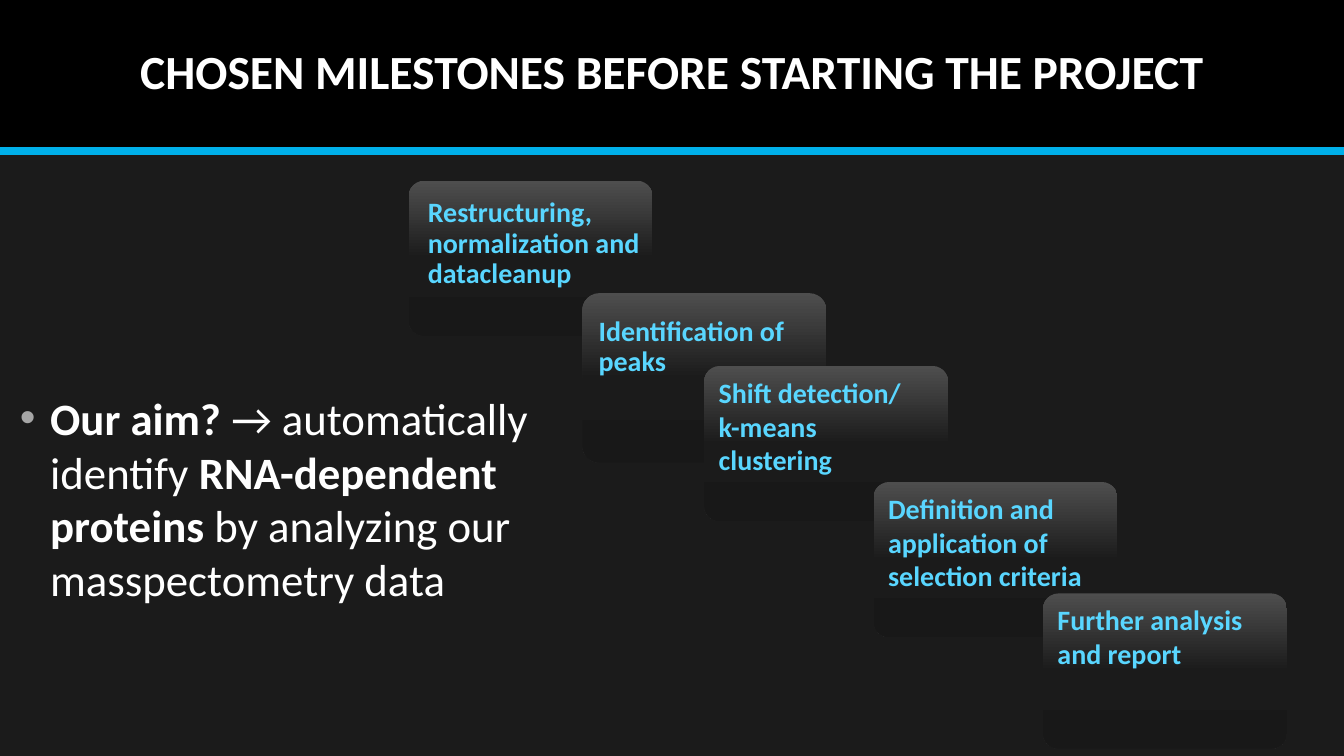
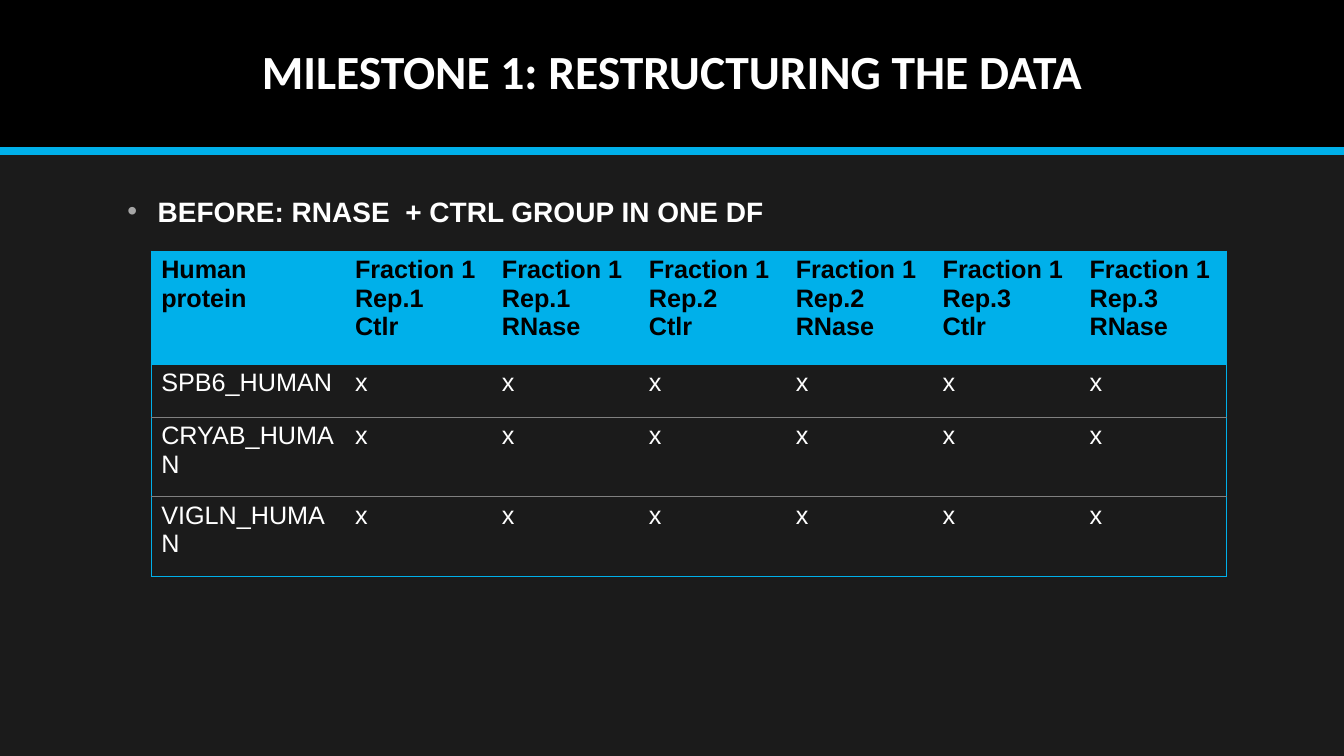
import copy

from lxml import etree
from pptx import Presentation
from pptx.dml.color import RGBColor
from pptx.enum import shapes, text
from pptx.oxml.ns import qn
from pptx.util import Pt

# Shared look
COLORS = {
    "background": "1B1B1B",
    "band": "000000",
    "accent": "00B0EA",
    "white": "FFFFFF",
    "bullet": "A6A6A6",
    "step_text": "59D6FF",
    "row_line": "808080",
}
STEP_GRADIENT = [(0, "4E4E4E"), (0.5, "1B1B1B"), (1, "181818")]
SLIDE_WIDTH, SLIDE_HEIGHT = 960, 540
BAND_HEIGHT = 108
TITLE_BOX = (84, 10, 792, 86.4)
NO_STYLE_NO_GRID = "{2D5ABB26-0587-4C30-8999-92F81FD0307C}"

# Content: milestones
MILESTONES_TITLE = "CHOSEN MILESTONES BEFORE STARTING THE PROJECT"
AIM_BOX = (7.2, 275.4, 407, 180)
AIM = [
    ("Our aim? ", True),
    ("→ automatically identify ", False),
    ("RNA-dependent proteins", True),
    (" by analyzing our masspectometry data", False),
]
STEP_WIDTH = 174.2
PLAIN_MARGINS = (7.2, 3.6, 7.2, 3.6)
# text, left, top, height, line spacing, margins (left, top, right, bottom)
STEPS = [
    ("Restructuring, normalization and datacleanup", 291.9, 129.1, 110.9, 0.9, (10.4, 9.7, 6, 3.6)),
    ("Identification of peaks", 416, 209.4, 121, 0.9, (8, 13.8, 8, 3.6)),
    ("Shift detection/\nk-means clustering", 503, 261.4, 110.9, 1, PLAIN_MARGINS),
    ("Definition and application of selection criteria", 624, 344.3, 110.9, 1, PLAIN_MARGINS),
    ("Further analysis and report", 745, 423.9, 110.9, 1, PLAIN_MARGINS),
]

# Content: restructuring
DATA_TITLE = "MILESTONE 1: RESTRUCTURING THE DATA"
BEFORE_BOX = (84, 135.4, 525.6, 36)
BEFORE = [("BEFORE: RNASE  + CTRL GROUP IN ONE DF", True)]
REPLICATES = (1, 2, 3)
GROUPS = ("Ctlr", "RNase")
PROTEINS = ["SPB6_HUMAN", "CRYAB_HUMAN", "VIGLN_HUMAN"]
TABLE_LEFT, TABLE_TOP = 108, 179.3
NAME_WIDTH, VALUE_WIDTH = 138.4, 104.95
ROW_HEIGHTS = [80.6, 38, 57, 57]


def rgb(name):
    return RGBColor.from_string(COLORS[name])


def points(lengths):
    return [Pt(length) for length in lengths]


def set_font(font, face, size, color, bold=None):
    font.name, font.size, font.bold = face, Pt(size), bold
    font.color.rgb = rgb(color)


def add_text_box(page, place):
    frame = page.shapes.add_textbox(*points(place)).text_frame
    frame.word_wrap = True
    return frame


def add_page(deck, title):
    """Blank page with the title band, accent line and title."""
    page = deck.slides.add_slide(deck.slide_layouts[6])
    band = page.shapes.add_shape(
        shapes.MSO_SHAPE.RECTANGLE, *points((0, 0, SLIDE_WIDTH, BAND_HEIGHT)))
    band.shadow.inherit = False
    band.fill.solid()
    band.fill.fore_color.rgb = rgb("band")
    band.line.fill.background()

    rule = page.shapes.add_connector(
        shapes.MSO_CONNECTOR.STRAIGHT,
        *points((0, BAND_HEIGHT, SLIDE_WIDTH, BAND_HEIGHT)))
    rule.line.color.rgb = rgb("accent")
    rule.line.width = Pt(6)
    etree.SubElement(rule.element.spPr, qn("a:effectLst"))

    frame = add_text_box(page, TITLE_BOX)
    frame.vertical_anchor = text.MSO_ANCHOR.MIDDLE
    para = frame.paragraphs[0]
    para.text = title
    para.alignment = text.PP_ALIGN.CENTER
    para.line_spacing = 0.9
    set_font(para.font, "Calibri", 34, "white", True)
    return page


def add_bullet(page, place, spans, face, size):
    para = add_text_box(page, place).paragraphs[0]
    set_font(para.font, face, size, "white")
    for words, bold in spans:
        span = para.add_run()
        span.text = words
        span.font.bold = bold
    # Hanging bullet
    props = para._p.get_or_add_pPr()
    props.set("marL", str(Pt(21.6)))
    props.set("indent", str(-Pt(21.6)))
    bullet_color = etree.Element(qn("a:buClr"))
    etree.SubElement(bullet_color, qn("a:srgbClr"), val=COLORS["bullet"])
    bullet_font = etree.Element(qn("a:buFont"), typeface="Arial")
    bullet_char = etree.Element(qn("a:buChar"), char="•")
    for index, part in enumerate((bullet_color, bullet_font, bullet_char)):
        props.insert(index, part)


def add_step(page, words, left, top, height, spacing, margins):
    box = page.shapes.add_shape(
        shapes.MSO_SHAPE.ROUNDED_RECTANGLE, *points((left, top, STEP_WIDTH, height)))
    box.adjustments[0] = 0.1
    box.shadow.inherit = False
    box.line.fill.background()
    # Three-stop gradient, running downwards
    box.fill.gradient()
    box.fill.gradient_angle = 270
    stop_list = box.element.find(".//" + qn("a:gsLst"))
    stop_list.insert(1, copy.deepcopy(stop_list[0]))
    for stop, (position, color) in zip(box.fill.gradient_stops, STEP_GRADIENT):
        stop.position = position
        stop.color.rgb = RGBColor.from_string(color)

    frame = box.text_frame
    frame.word_wrap = True
    frame.vertical_anchor = text.MSO_ANCHOR.TOP
    (frame.margin_left, frame.margin_top,
     frame.margin_right, frame.margin_bottom) = points(margins)
    frame.text = words
    for para in frame.paragraphs:
        para.alignment = text.PP_ALIGN.LEFT
        para.line_spacing = spacing
        set_font(para.font, "Calibri", 20, "step_text", True)


def set_borders(cell, borders):
    """Draw borders, given as (edge tag, colour name) in schema order."""
    props = cell._tc.get_or_add_tcPr()
    for index, (edge, color) in enumerate(borders):
        line = etree.Element(qn("a:" + edge), w=str(Pt(0.5)))
        fill = etree.SubElement(line, qn("a:solidFill"))
        etree.SubElement(fill, qn("a:srgbClr"), val=COLORS[color])
        props.insert(index, line)


def add_protein_table(page):
    header = ["Human protein"] + [
        f"Fraction 1\nRep.{replicate}\n{group}"
        for replicate in REPLICATES for group in GROUPS]
    rows = [header] + [[name] + ["x"] * (len(header) - 1) for name in PROTEINS]
    widths = [NAME_WIDTH] + [VALUE_WIDTH] * (len(header) - 1)
    frame = page.shapes.add_table(
        len(rows), len(header),
        *points((TABLE_LEFT, TABLE_TOP, sum(widths), sum(ROW_HEIGHTS))))
    table = frame.table
    frame.element.find(".//" + qn("a:tableStyleId")).text = NO_STYLE_NO_GRID
    for column, width in zip(table.columns, widths):
        column.width = Pt(width)
    for row, height in zip(table.rows, ROW_HEIGHTS):
        row.height = Pt(height)

    last_row, last_column = len(rows) - 1, len(header) - 1
    for r, values in enumerate(rows):
        is_header = r == 0
        for c, value in enumerate(values):
            cell = table.cell(r, c)
            cell.text = value
            for para in cell.text_frame.paragraphs:
                set_font(para.font, "Arial", 18, "band" if is_header else "white", is_header)
            if is_header:
                cell.fill.solid()
                cell.fill.fore_color.rgb = rgb("accent")
            else:
                cell.fill.background()
            borders = []
            if c == 0:
                borders.append(("lnL", "accent"))
            if c == last_column:
                borders.append(("lnR", "accent"))
            borders.append(("lnT", "accent" if r <= 1 else "row_line"))
            borders.append(("lnB", "accent" if r in (0, last_row) else "row_line"))
            set_borders(cell, borders)


def main():
    deck = Presentation()
    deck.slide_width, deck.slide_height = Pt(SLIDE_WIDTH), Pt(SLIDE_HEIGHT)
    backdrop = deck.slide_master.background.fill
    backdrop.solid()
    backdrop.fore_color.rgb = rgb("background")

    # Milestones
    page = add_page(deck, MILESTONES_TITLE)
    add_bullet(page, AIM_BOX, AIM, "Calibri", 32)
    for step in STEPS:
        add_step(page, *step)

    # Restructuring the data
    page = add_page(deck, DATA_TITLE)
    add_bullet(page, BEFORE_BOX, BEFORE, "Arial", 20)
    add_protein_table(page)

    deck.save("out.pptx")


if __name__ == "__main__":
    main()
